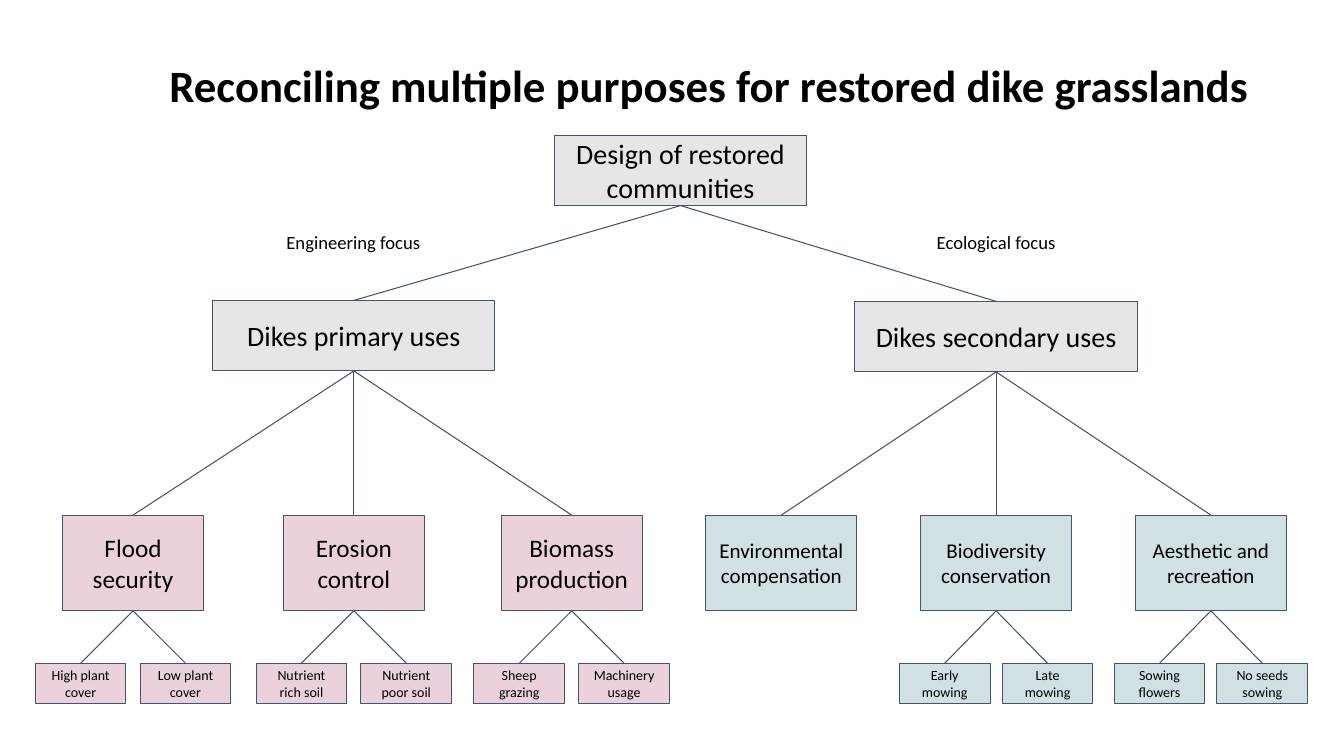
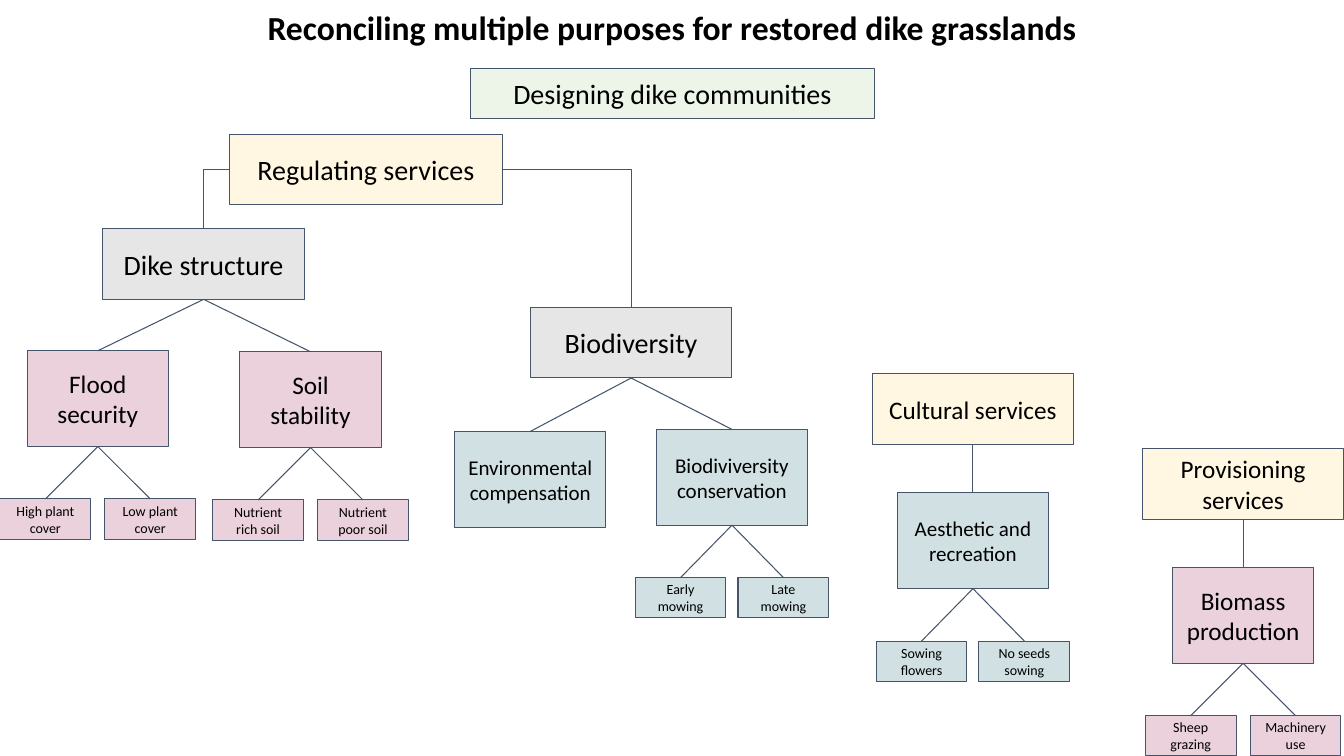
from typing import NamedTuple

import lxml.etree
import pptx
import pptx.dml.color
import pptx.enum.shapes
import pptx.enum.text
import pptx.oxml.ns
import pptx.util

Inches = pptx.util.Inches
Pt = pptx.util.Pt
RGBColor = pptx.dml.color.RGBColor
MSO_CONNECTOR = pptx.enum.shapes.MSO_CONNECTOR
MSO_ANCHOR = pptx.enum.text.MSO_ANCHOR
qn = pptx.oxml.ns.qn

BLACK = RGBColor(0x00, 0x00, 0x00)
SLATE = RGBColor(0x44, 0x54, 0x6A)
GREY = RGBColor(0xE7, 0xE6, 0xE6)
PINK = RGBColor(0xEA, 0xD1, 0xDC)
TEAL = RGBColor(0xD0, 0xE0, 0xE3)
GREEN = RGBColor(0xEC, 0xF5, 0xE7)
CREAM = RGBColor(0xFF, 0xF7, 0xE1)

TITLE = "Reconciling multiple purposes for restored dike grasslands"
FONT = "Calibri"
LINE_WIDTH = Pt(0.75)
INSETS = {
    f"margin_{side}": Inches(0.13) for side in ("left", "top", "right", "bottom")
}
NODE_FRAME = {
    **INSETS,
    "word_wrap": True,
    "vertical_anchor": MSO_ANCHOR.MIDDLE,
}
LABEL_FRAME = {**INSETS, "word_wrap": True}
TITLE_FRAME = {
    "word_wrap": True,
    "auto_size": pptx.enum.text.MSO_AUTO_SIZE.SHAPE_TO_FIT_TEXT,
}
TOP, LEFT, BOTTOM, RIGHT = range(4)  # connection sites of a rectangle
LEAF_DROP = 0.52


class Kind(NamedTuple):
    width: float
    height: float
    size: float
    fill: RGBColor


DESIGN = Kind(2.5, 0.7, 20, GREY)
USES = Kind(2.8, 0.7, 20, GREY)
THEME = Kind(2, 0.7, 20, GREY)
COMMUNITY = Kind(4, 0.5, 20, GREEN)
REGULATING = Kind(2.7, 0.7, 20, CREAM)
SERVICE = Kind(2, 0.7, 18, CREAM)
PRIMARY = Kind(1.4, 0.95, 18, PINK)
SECONDARY = Kind(1.5, 0.95, 15, TEAL)
PRIMARY_LEAF = Kind(0.9, 0.4, 10, PINK)
SECONDARY_LEAF = Kind(0.9, 0.4, 10, TEAL)

# Leaf kind and gap between the two leaves below each kind of use
LEAVES = {PRIMARY: (PRIMARY_LEAF, 0.14), SECONDARY: (SECONDARY_LEAF, 0.12)}


def apply(target, values):
    for name, value in values.items():
        setattr(target, name, value)


def write(box, text, size, frame_format, bold=False):
    """Put one centred paragraph into a box."""
    frame = box.text_frame
    apply(frame, frame_format)
    para = frame.paragraphs[0]
    para.alignment = pptx.enum.text.PP_ALIGN.CENTER
    span = para.add_run()
    span.text = text
    apply(span.font, {"name": FONT, "size": Pt(size), "bold": bold})
    span.font.color.rgb = BLACK


def add_text(page, text, place, size, frame_format, bold=False):
    box = page.shapes.add_textbox(*map(Inches, place))
    write(box, text, size, frame_format, bold)


def add_title(page, place, size):
    add_text(page, TITLE, place, size, TITLE_FRAME, bold=True)


def style_line(line):
    line.width = LINE_WIDTH
    line.color.rgb = SLATE


def link(page, parent, child, site=BOTTOM):
    """Join a site of the parent to the top of the child, bent from a side."""
    bent = site != BOTTOM
    route = MSO_CONNECTOR.ELBOW if bent else MSO_CONNECTOR.STRAIGHT
    connector = page.shapes.add_connector(route, 0, 0, 0, 0)
    connector.begin_connect(parent, site)
    connector.end_connect(child, TOP)
    style_line(connector.line)
    properties = connector.element.spPr
    if bent:
        properties.find(qn("a:prstGeom")).set("prst", "bentConnector2")
    lxml.etree.SubElement(properties, qn("a:effectLst"))


def add_node(page, kind, text, centre, top, parent=None, site=BOTTOM):
    box = page.shapes.add_shape(
        pptx.enum.shapes.MSO_SHAPE.RECTANGLE,
        Inches(centre - kind.width / 2),
        Inches(top),
        Inches(kind.width),
        Inches(kind.height),
    )
    box.shadow.inherit = False
    box.fill.solid()
    box.fill.fore_color.rgb = kind.fill
    style_line(box.line)
    write(box, text, kind.size, NODE_FRAME)
    if parent is not None:
        link(page, parent, box, site)
    return box


def add_use(page, kind, text, centre, top, parent, leaves=()):
    """Add a use of the dike with its pair of leaves."""
    use = add_node(page, kind, text, centre, top, parent)
    leaf_kind, gap = LEAVES[kind]
    leaf_top = top + kind.height + LEAF_DROP
    for leaf, side in zip(leaves, (-1, 1)):
        leaf_centre = centre + side * (leaf_kind.width + gap) / 2
        add_node(page, leaf_kind, leaf, leaf_centre, leaf_top, use)


def build_uses(page):
    add_title(page, (1.54, 0.52, 10.99, 0.64), 32)
    design = add_node(page, DESIGN, "Design of restored communities", 6.75, 1.34)
    primary = add_node(page, USES, "Dikes primary uses", 3.51, 2.98, design)
    secondary = add_node(page, USES, "Dikes secondary uses", 9.88, 2.99, design)
    for text, place in (
        ("Engineering focus", (2.68, 2.18, 1.65, 0.43)),
        ("Ecological focus", (8.82, 2.18, 2.12, 0.43)),
    ):
        add_text(page, text, place, 13.3, LABEL_FRAME)

    for kind, parent, text, centre, leaves in (
        (PRIMARY, primary, "Flood security", 1.32,
         ("High plant cover", "Low plant cover")),
        (PRIMARY, primary, "Erosion control", 3.51,
         ("Nutrient rich soil", "Nutrient poor soil")),
        (PRIMARY, primary, "Biomass production", 5.67,
         ("Sheep grazing", "Machinery usage")),
        (SECONDARY, secondary, "Environmental compensation", 7.75, ()),
        (SECONDARY, secondary, "Biodiversity conservation", 9.88,
         ("Early mowing", "Late mowing")),
        (SECONDARY, secondary, "Aesthetic and recreation", 12.01,
         ("Sowing flowers", "No seeds sowing")),
    ):
        add_use(page, kind, text, centre, 5.11, parent, leaves)


def build_services(page):
    add_title(page, (2.52, 0.02, 8.29, 0.5), 24)
    add_node(page, COMMUNITY, "Designing dike communities", 6.67, 0.68)
    regulating = add_node(page, REGULATING, "Regulating services", 3.63, 1.33)
    structure = add_node(
        page, THEME, "Dike structure", 2.02, 2.27, regulating, LEFT
    )
    biodiversity = add_node(
        page, THEME, "Biodiversity", 6.26, 3.05, regulating, RIGHT
    )
    cultural = add_node(page, SERVICE, "Cultural services", 9.65, 3.71)
    provisioning = add_node(page, SERVICE, "Provisioning services", 12.33, 4.45)

    for kind, parent, text, centre, top, leaves in (
        (PRIMARY, structure, "Flood security", 0.97, 3.48,
         ("High plant cover", "Low plant cover")),
        (PRIMARY, structure, "Soil stability", 3.08, 3.49,
         ("Nutrient rich soil", "Nutrient poor soil")),
        (SECONDARY, biodiversity, "Environmental compensation", 5.26, 4.28, ()),
        (SECONDARY, biodiversity, "Biodiviversity conservation", 7.26, 4.26,
         ("Early mowing", "Late mowing")),
        (SECONDARY, cultural, "Aesthetic and recreation", 9.65, 4.89,
         ("Sowing flowers", "No seeds sowing")),
        (PRIMARY, provisioning, "Biomass production", 12.33, 5.63,
         ("Sheep grazing", "Machinery use")),
    ):
        add_use(page, kind, text, centre, top, parent, leaves)


def main():
    deck = pptx.Presentation()
    apply(deck, {"slide_width": Inches(13.33), "slide_height": Inches(7.5)})
    blank = deck.slide_layouts[6]
    for build in (build_uses, build_services):
        build(deck.slides.add_slide(blank))
    deck.save("out.pptx")


if __name__ == "__main__":
    main()
